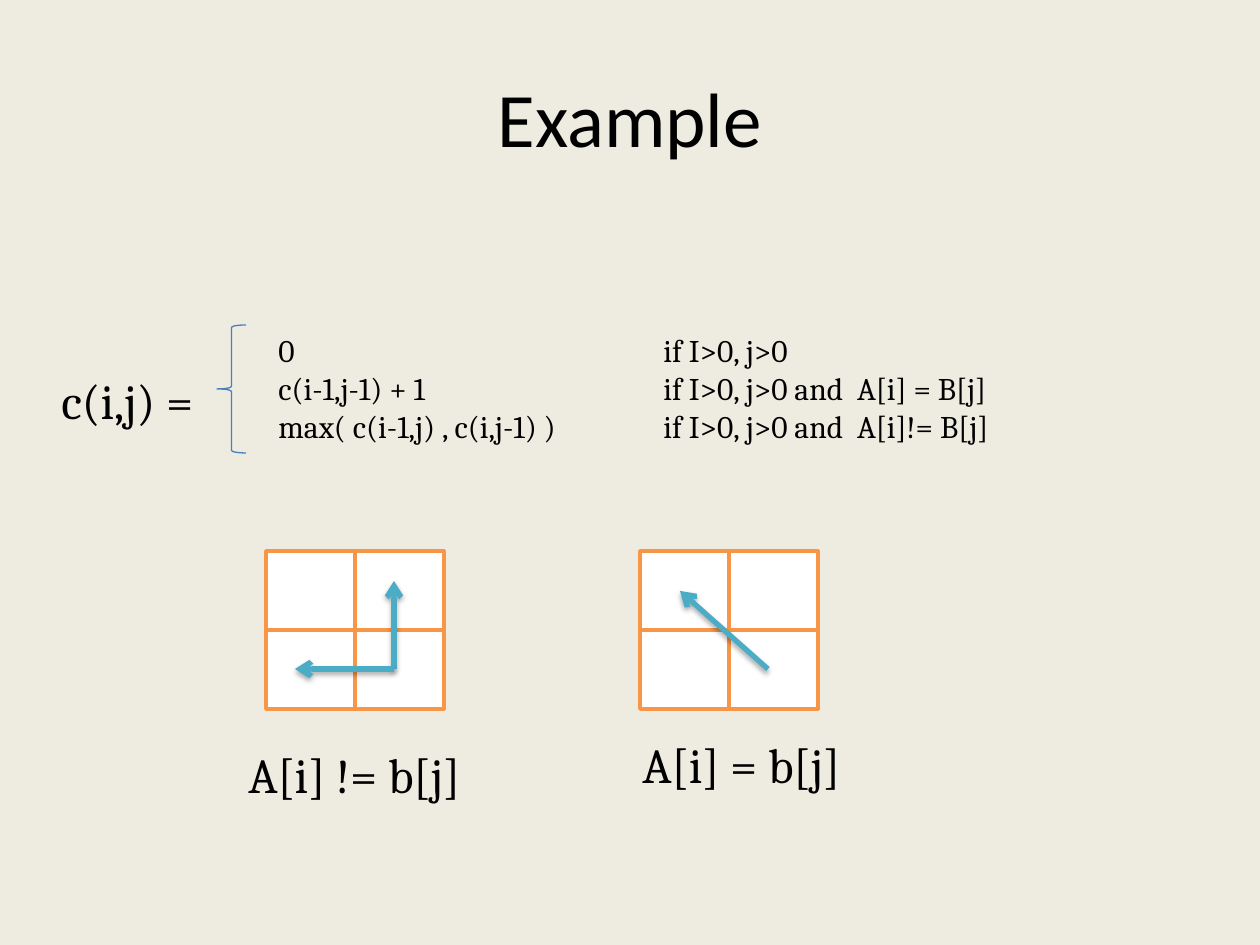
"""Build a slide on the recurrence for the longest common subsequence."""
from lxml import etree
from pptx import Presentation
from pptx import util as u
from pptx.dml.color import RGBColor
from pptx.enum import shapes, text
from pptx.oxml import ns

SCALE = 914400 / 126
COLORS = {"page": "EEECE1", "ink": "000000", "brace": "4B7EBC",
          "cell": "FFFFFF", "grid": "F79646", "arrow": "4BACC6"}
CELL_WIDTH, CELL_HEIGHT = 89, 79
CASES = [
    ("0", "if I>0, j>0"),
    ("c(i-1,j-1) + 1", "if I>0, j>0 and  A[i] = B[j]"),
    ("max( c(i-1,j) , c(i,j-1) )", "if I>0, j>0 and  A[i]!= B[j]"),
]
CONDITION_TAB = 385


def px(*lengths):
    """Turn picture pixels into EMU."""
    return [u.Emu(round(length * SCALE)) for length in lengths]


def color(name):
    """Look up a named colour."""
    return RGBColor.from_string(COLORS[name])


def add_child(parent, tag, **attributes):
    """Append a DrawingML element and return it."""
    return etree.SubElement(parent, ns.qn(tag), attributes)


def add_text(page, area, lines, size, font="Cambria", align=text.PP_ALIGN.LEFT,
             anchor=text.MSO_ANCHOR.TOP, tab=None):
    """Add a wrapped text box with one paragraph per line."""
    frame = page.shapes.add_textbox(*px(*area)).text_frame
    frame.word_wrap = True
    frame.vertical_anchor = anchor
    for index, line in enumerate(lines):
        para = frame.add_paragraph() if index else frame.paragraphs[0]
        para.alignment = align
        if tab:
            stops = add_child(para._p.get_or_add_pPr(), "a:tabLst")
            add_child(stops, "a:tab", pos=str(px(tab)[0]), algn="l")
        span = para.add_run()
        span.text = line
        span.font.size = u.Pt(size)
        span.font.name = font
        span.font.color.rgb = color("ink")


def add_outlined(page, kind, area, line, width, fill=None):
    """Add a preset shape with an outline and an optional fill."""
    shape = page.shapes.add_shape(kind, *px(*area))
    shape.shadow.inherit = False
    shape.line.color.rgb = color(line)
    shape.line.width = u.Pt(width)
    if fill:
        shape.fill.solid()
        shape.fill.fore_color.rgb = color(fill)
    else:
        shape.fill.background()


def add_grid(page, left, top):
    """Add a two by two grid of cells."""
    for row in (1, 0):
        for column in (1, 0):
            area = (left + column * CELL_WIDTH, top + row * CELL_HEIGHT,
                    CELL_WIDTH, CELL_HEIGHT)
            add_outlined(page, shapes.MSO_SHAPE.RECTANGLE, area, "grid", 2, "cell")


def add_arrow(page, start, end):
    """Add a thick arrow with a soft shadow below it."""
    arrow = page.shapes.add_connector(shapes.MSO_CONNECTOR.STRAIGHT,
                                      *px(*start, *end))
    arrow.line.color.rgb = color("arrow")
    arrow.line.width = u.Pt(3)
    add_child(arrow.line._get_or_add_ln(), "a:tailEnd", type="arrow")
    effects = add_child(arrow._element.spPr, "a:effectLst")
    shadow = add_child(effects, "a:outerShdw", blurRad=str(u.Pt(3.1)),
                       dist=str(u.Pt(1.8)), dir="5400000", rotWithShape="0")
    tint = add_child(shadow, "a:srgbClr", val=COLORS["ink"])
    add_child(tint, "a:alpha", val="35000")


def main():
    """Build and save the deck."""
    deck = Presentation()
    deck.slide_width, deck.slide_height = px(1260, 945)
    page = deck.slides.add_slide(deck.slide_layouts[6])
    page.background.fill.solid()
    page.background.fill.fore_color.rgb = color("page")

    add_text(page, (63, 38, 1134, 158), ["Example"], 44, "Calibri",
             text.PP_ALIGN.CENTER, text.MSO_ANCHOR.MIDDLE)
    add_text(page, (49, 364, 344, 72), ["c(i,j) ="], 28)
    add_text(page, (266, 325, 798, 127), ["\t".join(case) for case in CASES], 18,
             tab=CONDITION_TAB)
    add_outlined(page, shapes.MSO_SHAPE.LEFT_BRACE, (217, 325, 29, 128), "brace", 0.75)

    add_grid(page, 266, 551)
    add_arrow(page, (394, 669), (394, 581))
    add_arrow(page, (394, 669), (295, 669))
    add_grid(page, 640, 551)
    add_arrow(page, (768, 669), (680, 591))
    add_text(page, (630, 728, 266, 72), ["A[i] = b[j]"], 28)
    add_text(page, (236, 738, 266, 72), ["A[i] != b[j]"], 28)
    deck.save("out.pptx")


main()
